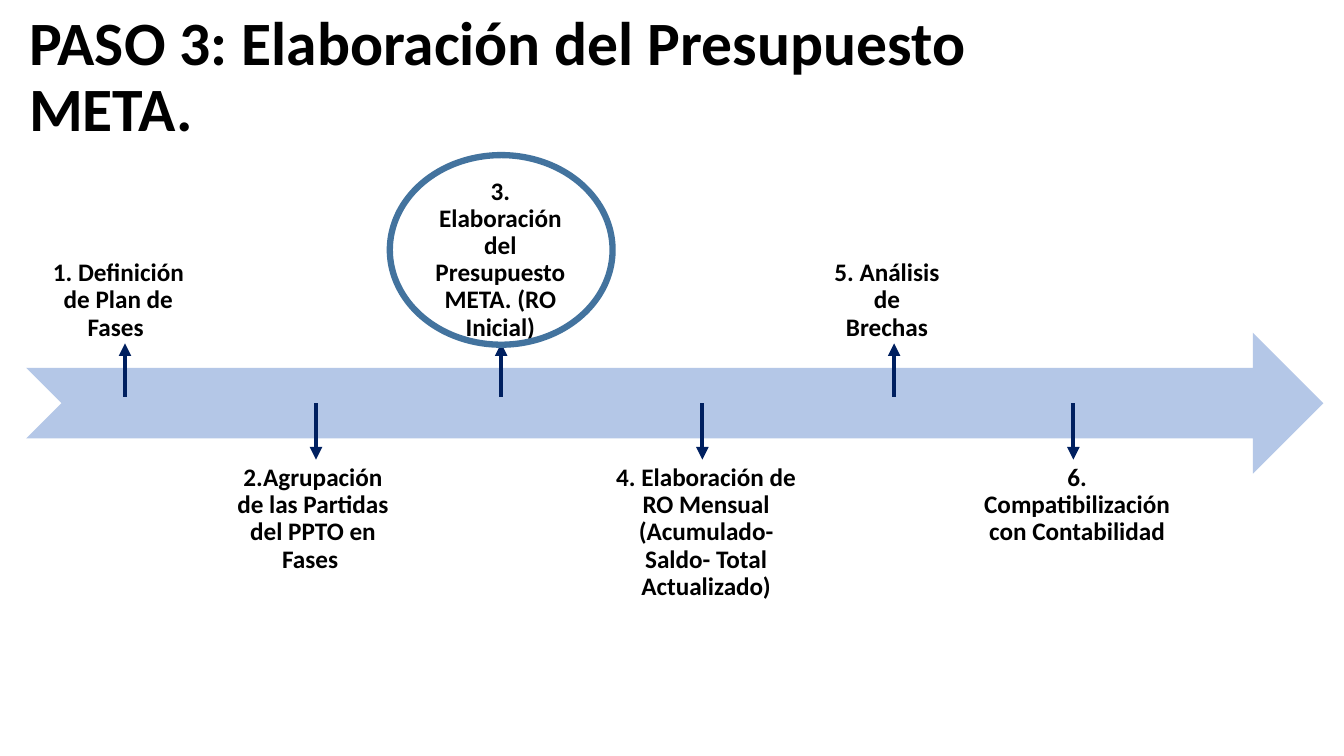
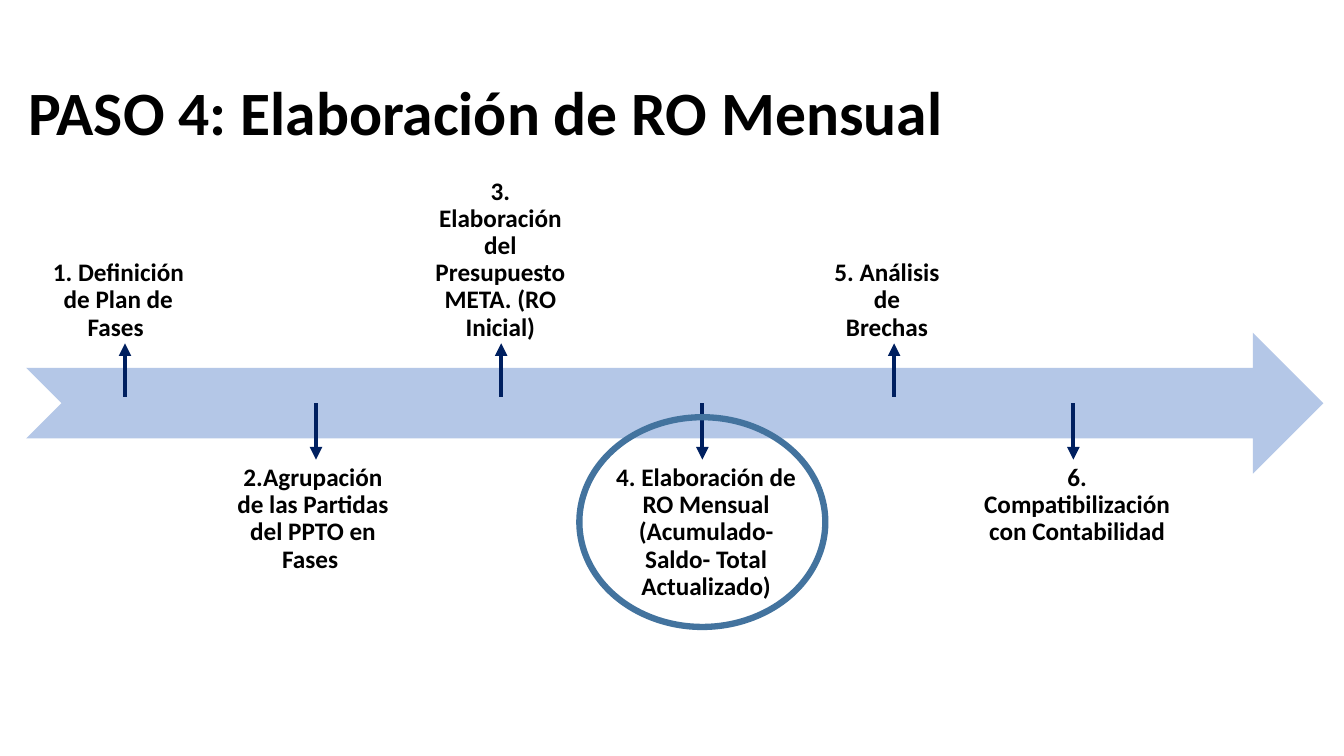
from dataclasses import dataclass

from lxml import etree
from pptx import Presentation
from pptx.dml.color import RGBColor
from pptx.enum import shapes, text
from pptx.oxml import ns
from pptx.util import Pt


@dataclass(frozen=True)
class Theme:
    font: str = "Calibri"
    title_size: float = 44
    label_size: float = 18
    ink: RGBColor = RGBColor(0x00, 0x00, 0x00)
    band: RGBColor = RGBColor(0xB4, 0xC7, 0xE7)
    pointer: RGBColor = RGBColor(0x00, 0x20, 0x60)
    ring: RGBColor = RGBColor(0x43, 0x73, 0x9E)
    pointer_width: float = 3
    ring_width: float = 4.5


@dataclass(frozen=True)
class Step:
    """A label and its pointer; positions run from the timeline's left edge."""
    wording: str
    left: float
    width: float
    pointer_x: float


THEME = Theme()
TIMELINE = (18.7, 118, 926.6, 340)
BAND_HEIGHT = 100.8
LABEL_HEIGHT = 136

STEPS = [
    Step("1. Definición de Plan de Fases ", 0, 131.8, 70.6),
    Step("2.Agrupación de las Partidas del PPTO en Fases ", 136.8, 136.1, 207),
    Step("3. Elaboración del Presupuesto META. (RO Inicial)", 277.9, 121.7, 339.3),
    Step("4. Elaboración de RO Mensual (Acumulado- Saldo- Total Actualizado)",
         406.8, 157.7, 483),
    Step("5. Análisis de Brechas", 566.6, 96.5, 620),
    Step("6. Compatibilización con Contabilidad", 668.2, 164.9, 748),
]

# title, title box, highlighted step, ring (top within timeline, width, height)
SLIDES = [
    ("PASO 3: Elaboración del Presupuesto META.", (13.7, 38.2, 801.4, 72.7),
     STEPS[2], (-7.2, 159.1, 135.4)),
    ("PASO 4: Elaboración de RO Mensual", (13, 41, 801.4, 72.7),
     STEPS[3], (180, 175.7, 149.8)),
]


def add_words(slide, box, wording, size, inset, anchor, align):
    frame = slide.shapes.add_textbox(*map(Pt, box)).text_frame
    frame.word_wrap = True
    frame.vertical_anchor = anchor
    frame.margin_left = frame.margin_right = Pt(inset)
    frame.margin_top = frame.margin_bottom = Pt(inset)
    paragraph = frame.paragraphs[0]
    paragraph.alignment = align
    paragraph.line_spacing = 0.9
    run = paragraph.add_run()
    run.text = wording
    run.font.name = THEME.font
    run.font.size = Pt(size)
    run.font.bold = True
    run.font.color.rgb = THEME.ink


def add_title(slide, box, wording):
    add_words(slide, box, wording, THEME.title_size, 7.2,
              text.MSO_ANCHOR.BOTTOM, text.PP_ALIGN.LEFT)


def add_pointer(slide, x, start_y, end_y):
    pointer = slide.shapes.add_connector(
        shapes.MSO_CONNECTOR.STRAIGHT, Pt(x), Pt(start_y), Pt(x), Pt(end_y))
    pointer.line.color.rgb = THEME.pointer
    pointer.line.width = Pt(THEME.pointer_width)
    etree.SubElement(pointer.line._get_or_add_ln(), ns.qn("a:tailEnd"), type="triangle")
    etree.SubElement(pointer._element.spPr, ns.qn("a:effectLst"))


def add_band(slide, box):
    band = slide.shapes.add_shape(
        shapes.MSO_SHAPE.NOTCHED_RIGHT_ARROW, *map(Pt, box))
    band.shadow.inherit = False
    band.fill.solid()
    band.fill.fore_color.rgb = THEME.band
    band.line.fill.background()


def add_timeline(slide, box):
    """Band with step labels alternating above and below it."""
    left, top, width, height = box
    middle = top + height / 2
    add_band(slide, (left, middle - BAND_HEIGHT / 2, width, BAND_HEIGHT))
    for index, step in enumerate(STEPS):
        above = index % 2 == 0
        label_top = top if above else top + height - LABEL_HEIGHT
        anchor = text.MSO_ANCHOR.BOTTOM if above else text.MSO_ANCHOR.TOP
        add_words(slide, (left + step.left, label_top, step.width, LABEL_HEIGHT),
                  step.wording, THEME.label_size, 10, anchor, text.PP_ALIGN.CENTER)
        start, end = (-4.7, -42.8) if above else (0, 40.3)
        add_pointer(slide, left + step.pointer_x, middle + start, middle + end)


def add_ring(slide, box, step, ring_size):
    """Ring centred on the pointer of the highlighted step."""
    left, top = box[:2]
    offset, width, height = ring_size
    ring = slide.shapes.add_shape(
        shapes.MSO_SHAPE.OVAL, Pt(left + step.pointer_x - width / 2),
        Pt(top + offset), Pt(width), Pt(height))
    ring.shadow.inherit = False
    ring.fill.background()
    ring.line.color.rgb = THEME.ring
    ring.line.width = Pt(THEME.ring_width)


def main():
    deck = Presentation()
    deck.slide_width, deck.slide_height = Pt(960), Pt(540)
    for title, title_box, step, ring_size in SLIDES:
        slide = deck.slides.add_slide(deck.slide_layouts[6])
        add_title(slide, title_box, title)
        add_timeline(slide, TIMELINE)
        add_ring(slide, TIMELINE, step, ring_size)
    deck.save("out.pptx")


if __name__ == "__main__":
    main()
